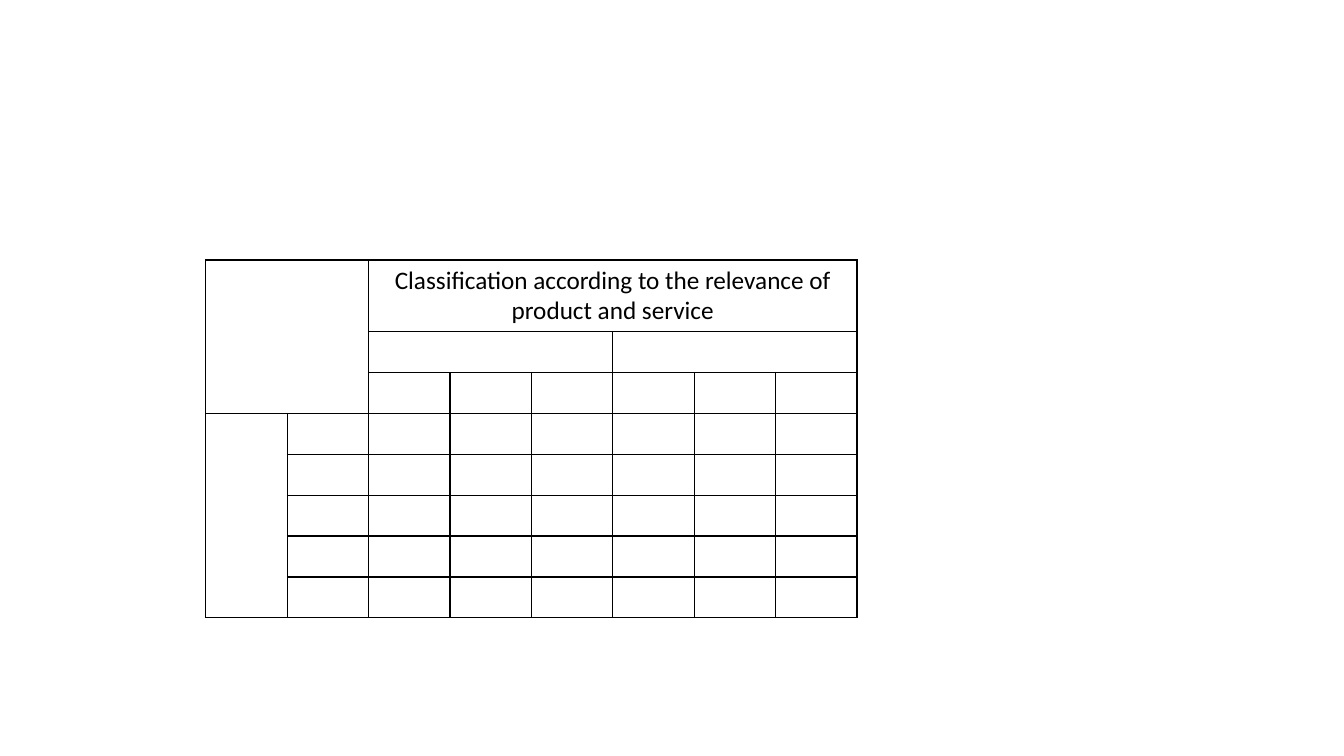
from typing import NamedTuple

from lxml import etree
from pptx import Presentation
from pptx import util as u
from pptx.dml.color import RGBColor
from pptx.enum import text as t
from pptx.oxml import ns

# Grid of the table, in inches
COLUMNS, ROWS = 8, 8
LEFT, TOP, WIDTH, HEIGHT = 2.04, 2.58, 6.46, 3.54
HEADING_HEIGHT = 0.7
COLUMN_WIDTH = WIDTH / COLUMNS
ROW_HEIGHT = (HEIGHT - HEADING_HEIGHT) / (ROWS - 1)
BLACK = "000000"


class Block(NamedTuple):
    """Merged cells, placed and sized in rows and columns."""
    row: int
    column: int
    rows: int
    columns: int
    label: str = ""


BLOCKS = [
    Block(0, 0, 3, 2),
    Block(0, 2, 1, 6, "Classification according to the relevance of product and service"),
    Block(1, 2, 1, 3),
    Block(1, 5, 1, 3),
    Block(3, 0, 5, 1),
]


def color(value: str) -> RGBColor:
    return RGBColor.from_string(value)


def write(cell, label: str, *, size: float = 18, font: str = "Calibri",
          ink: str = BLACK, align=t.PP_ALIGN.CENTER) -> None:
    cell.vertical_anchor = t.MSO_ANCHOR.MIDDLE
    para = cell.text_frame.paragraphs[0]
    para.alignment = align
    span = para.add_run()
    span.text = label
    span.font.size = u.Pt(size)
    span.font.name = font
    span.font.color.rgb = color(ink)


def outline(cell, *, ink: str = BLACK, width: float = 1) -> None:
    """Clear the fill and rule all four sides of a cell."""
    cell.fill.background()
    properties = cell._tc.get_or_add_tcPr()
    for index, side in enumerate(("lnL", "lnR", "lnT", "lnB")):
        line = etree.Element(ns.qn(f"a:{side}"), w=str(u.Pt(width)))
        fill = etree.SubElement(line, ns.qn("a:solidFill"))
        etree.SubElement(fill, ns.qn("a:srgbClr"), val=ink)
        properties.insert(index, line)


def merge(table, block: Block) -> None:
    first = table.cell(block.row, block.column)
    first.merge(table.cell(block.row + block.rows - 1,
                           block.column + block.columns - 1))
    if block.label:
        write(first, block.label)


deck = Presentation()
deck.slide_width, deck.slide_height = u.Inches(13.33), u.Inches(7.5)
page = deck.slides.add_slide(deck.slide_layouts[6])

# Classification table
table = page.shapes.add_table(ROWS, COLUMNS, u.Inches(LEFT), u.Inches(TOP),
                              u.Inches(WIDTH), u.Inches(HEIGHT)).table
table.first_row = table.horz_banding = False
for column in table.columns:
    column.width = u.Inches(COLUMN_WIDTH)
for index, row in enumerate(table.rows):
    row.height = u.Inches(ROW_HEIGHT if index else HEADING_HEIGHT)
for cell in table.iter_cells():
    outline(cell)

# Heading and group cells
for block in BLOCKS:
    merge(table, block)

deck.save("out.pptx")
